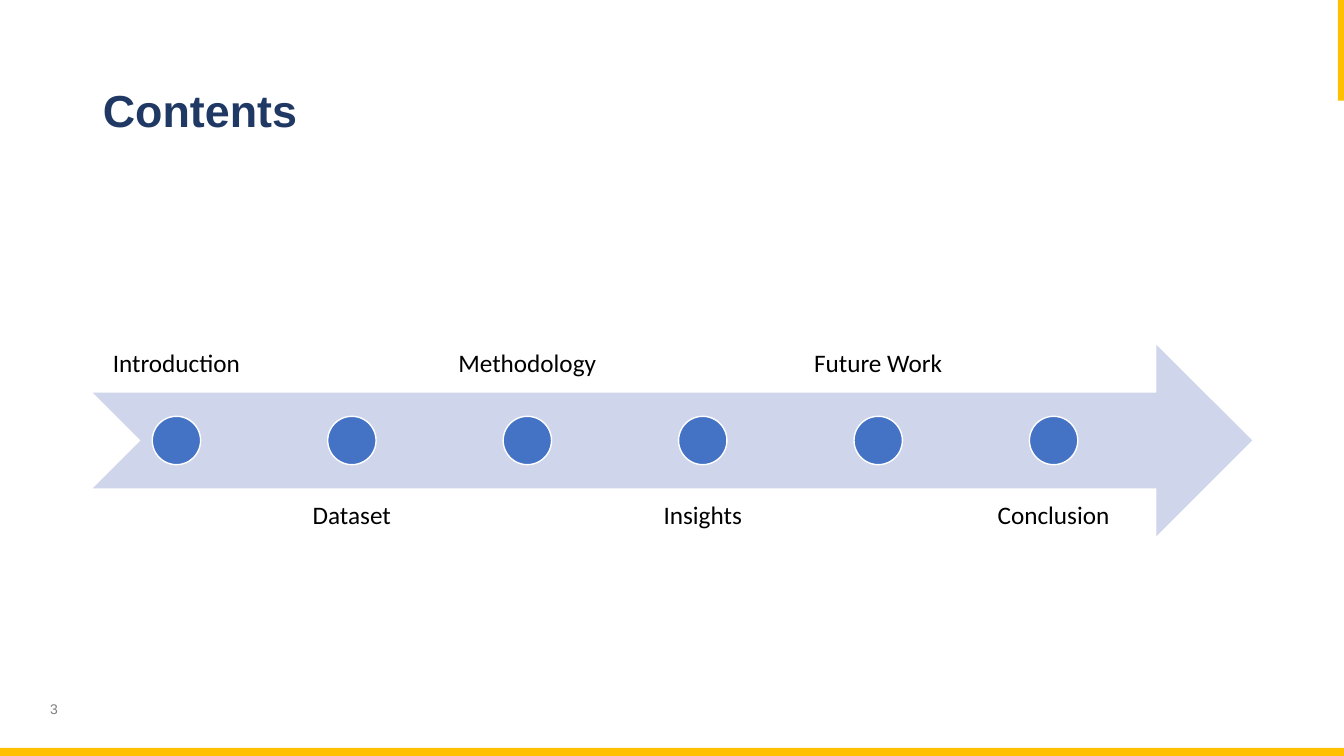
from pptx import Presentation
from pptx import util as u
from pptx.dml.color import RGBColor
from pptx.enum import shapes, text

SLIDE_WIDTH, SLIDE_HEIGHT = 13.33, 7.5
NAVY, BLUE, PALE_BLUE = "203864", "4472C4", "CFD5EA"
GOLD, GREY, BLACK, WHITE = "FFC000", "808080", "000000", "FFFFFF"
TOPICS = ["Introduction", "Dataset", "Methodology", "Insights", "Future Work", "Conclusion"]


def colour(hex_value):
    return RGBColor.from_string(hex_value)


class ContentsSlide:
    """Holds the text styles and the current slide."""

    styles = {
        "title": {"name": "Arial", "size": u.Pt(32), "bold": True, "colour": NAVY},
        "label": {"name": "Calibri", "size": u.Pt(18), "colour": BLACK},
        "number": {"name": "Arial", "size": u.Pt(10), "colour": GREY},
    }

    def __init__(self, presentation):
        self.slide = presentation.slides.add_slide(presentation.slide_layouts[5])

    def set_text(self, shape, words, style, align, anchor, margin=None, spacing=1.0):
        frame = shape.text_frame
        frame.word_wrap = True
        frame.auto_size = text.MSO_AUTO_SIZE.NONE
        frame.vertical_anchor = anchor
        if margin is not None:
            for side in ("left", "top", "right", "bottom"):
                setattr(frame, f"margin_{side}", u.Inches(margin))
        paragraph = frame.paragraphs[0]
        paragraph.alignment = align
        paragraph.line_spacing = spacing
        run = paragraph.add_run()
        run.text = words
        for name, value in self.styles[style].items():
            if name == "colour":
                run.font.color.rgb = colour(value)
            else:
                setattr(run.font, name, value)

    def title(self, words, left, top, width, height):
        title = self.slide.shapes.title
        place = {"left": left, "top": top, "width": width, "height": height}
        for name, value in place.items():
            setattr(title, name, u.Inches(value))
        self.set_text(title, words, "title", text.PP_ALIGN.LEFT, text.MSO_ANCHOR.MIDDLE, spacing=0.9)

    def text_box(self, words, box, style, anchor, **layout):
        shape = self.slide.shapes.add_textbox(*map(u.Inches, box))
        self.set_text(shape, words, style, text.PP_ALIGN.CENTER, anchor, **layout)

    def block(self, kind, box, fill, outline=None):
        shape = self.slide.shapes.add_shape(kind, *map(u.Inches, box))
        shape.shadow.inherit = False
        shape.fill.solid()
        shape.fill.fore_color.rgb = colour(fill)
        if outline:
            shape.line.color.rgb = colour(outline)
            shape.line.width = u.Pt(1)
        else:
            shape.line.fill.background()


def main():
    presentation = Presentation()
    presentation.slide_width = u.Inches(SLIDE_WIDTH)
    presentation.slide_height = u.Inches(SLIDE_HEIGHT)
    contents = ContentsSlide(presentation)
    kinds, anchors = shapes.MSO_SHAPE, text.MSO_ANCHOR

    # Page number and gold edge bars
    contents.text_box("3", (0.16, 6.83, 0.75, 0.4), "number", anchors.MIDDLE)
    contents.block(kinds.RECTANGLE, (SLIDE_WIDTH - 0.06, 0, 0.06, 1), GOLD)
    contents.block(kinds.RECTANGLE, (0, SLIDE_HEIGHT - 0.08, SLIDE_WIDTH, 0.08), GOLD)

    # Title
    contents.title("Contents", 0.92, 0.4, 11.5, 1.45)

    # Timeline arrow
    left, top, height = 0.92, 3.42, 1.9
    contents.block(kinds.NOTCHED_RIGHT_ARROW, (left, top, 11.5, height), PALE_BLUE)

    # Topics: labels alternate above and below the arrow's shaft
    step, label_width, dot = 1.74, 1.66, 0.48
    shaft_top, shaft_bottom = top + height / 4, top + height * 3 / 4
    for index, topic in enumerate(TOPICS):
        label_left = left + index * step
        above = index % 2 == 0
        label_top = shaft_top - height if above else shaft_bottom
        contents.text_box(topic, (label_left, label_top, label_width, height), "label",
                          anchors.BOTTOM if above else anchors.TOP, margin=0.14, spacing=0.9)
        dot_left = label_left + (label_width - dot) / 2
        contents.block(kinds.OVAL, (dot_left, top + (height - dot) / 2, dot, dot), BLUE, WHITE)

    presentation.save("out.pptx")


if __name__ == "__main__":
    main()
